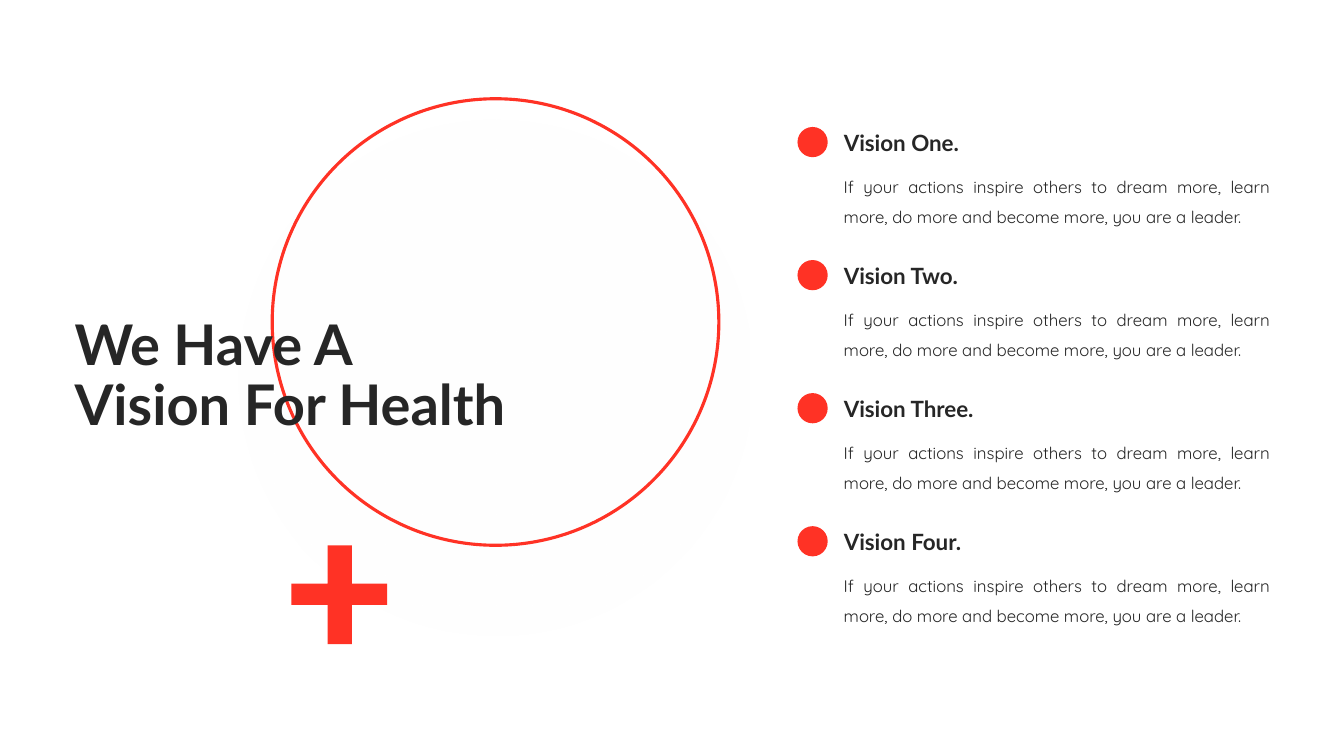
from lxml import etree
from pptx import Presentation
from pptx import util as u
from pptx.dml.color import RGBColor
from pptx.enum import shapes, text
from pptx.oxml.ns import qn

RED, INK, WHITE = "FF3225", "262626", "FFFFFF"
VISIONS = ["Vision One.", "Vision Two.", "Vision Three.", "Vision Four."]
QUOTE = ("If your actions inspire others to dream more, learn more, "
         "do more and become more, you are a leader.")
FIRST_TOP, ROW_STEP = 1.23, 1.32


def colour(value):
    """Turn a hex string into a colour."""
    return RGBColor.from_string(value)


def place(shape, left, top, width, height):
    """Move and size a shape, in inches."""
    shape.left, shape.top = u.Inches(left), u.Inches(top)
    shape.width, shape.height = u.Inches(width), u.Inches(height)


def paint(shape, fill):
    """Give a shape a flat fill without line or shadow."""
    shape.shadow.inherit = False
    shape.fill.solid()
    shape.fill.fore_color.rgb = colour(fill)
    shape.line.fill.background()


def add_circle(page, left, top, size, fill):
    """Add a filled circle."""
    circle = page.shapes.add_shape(
        shapes.MSO_SHAPE.OVAL, *map(u.Inches, (left, top, size, size)))
    paint(circle, fill)
    return circle


def add_veil(page):
    """Add the large white disc that fades in across its width."""
    veil = add_circle(page, 2.36, 1.19, 5.11, WHITE)
    veil.rotation = 90
    veil.fill.gradient()
    veil.fill.gradient_angle = 270
    for stop in veil.fill.gradient_stops:
        stop.color.rgb = colour(WHITE)
    tints = veil.element.spPr.iter(qn("a:srgbClr"))
    for tint, opacity in zip(tints, ("0", "70000")):
        etree.SubElement(tint, qn("a:alpha"), val=opacity)


def add_ring(page):
    """Add the red outlined circle."""
    ring = add_circle(page, 2.7, 0.98, 4.43, WHITE)
    ring.fill.background()
    ring.line.color.rgb = colour(RED)
    ring.line.width = u.Pt(2.25)


def add_plus(page):
    """Add the red medical cross, laid out in hundredths of an inch."""
    x1, x2, x3, x4 = 289, 325, 349, 384
    y1, y2, y3, y4 = 541, 579, 600, 639
    outline = page.shapes.build_freeform(x2, y1, scale=u.Inches(0.01))
    outline.add_line_segments([
        (x3, y1), (x3, y2), (x4, y2), (x4, y3), (x3, y3), (x3, y4),
        (x2, y4), (x2, y3), (x1, y3), (x1, y2), (x2, y2)])
    paint(outline.convert_to_shape(), RED)


def style(para, font, size, bold=False):
    """Set the font of a paragraph."""
    para.font.name, para.font.size, para.font.bold = font, u.Pt(size), bold
    para.font.color.rgb = colour(INK)


def add_text(page, words, left, top, width, height):
    """Add a wrapping text box and return it."""
    box = page.shapes.add_textbox(*map(u.Inches, (left, top, width, height)))
    box.text_frame.word_wrap = True
    box.text_frame.text = words
    return box


def add_vision(page, heading, top):
    """Add one bulleted vision with its heading and quote."""
    box = add_text(page, heading, 8.27, top, 2.85, 0.37)
    box.text_frame.vertical_anchor = text.MSO_ANCHOR.MIDDLE
    style(box.text_frame.paragraphs[0], "Lato", 16, True)
    box = add_text(page, QUOTE, 8.27, top + 0.37, 4.43, 0.71)
    para = box.text_frame.paragraphs[0]
    para.alignment = text.PP_ALIGN.JUSTIFY
    para.line_spacing = 1.5
    style(para, "Quicksand", 12)
    add_circle(page, 7.91, top + 0.03, 0.3, RED)


def set_title(page):
    """Fill the title placeholder and bring it to the front."""
    title = page.shapes.title
    place(title, 0.64, 3.02, 5.08, 1.45)
    frame = title.text_frame
    frame.text = "We Have A \vVision For Health"
    frame.word_wrap = True
    frame.auto_size = text.MSO_AUTO_SIZE.NONE
    frame.vertical_anchor = text.MSO_ANCHOR.MIDDLE
    para = frame.paragraphs[0]
    para.alignment = text.PP_ALIGN.LEFT
    para.line_spacing = 0.9
    style(para, "Lato", 40, True)
    page.shapes.element.append(title.element)


def main():
    """Build the slide and save it."""
    deck = Presentation()
    deck.slide_width, deck.slide_height = u.Inches(13.33), u.Inches(7.5)
    page = deck.slides.add_slide(deck.slide_layouts.get_by_name("Title Only"))
    add_veil(page)
    add_ring(page)
    add_plus(page)
    for row, heading in enumerate(VISIONS):
        add_vision(page, heading, FIRST_TOP + row * ROW_STEP)
    set_title(page)
    deck.save("out.pptx")


if __name__ == "__main__":
    main()
